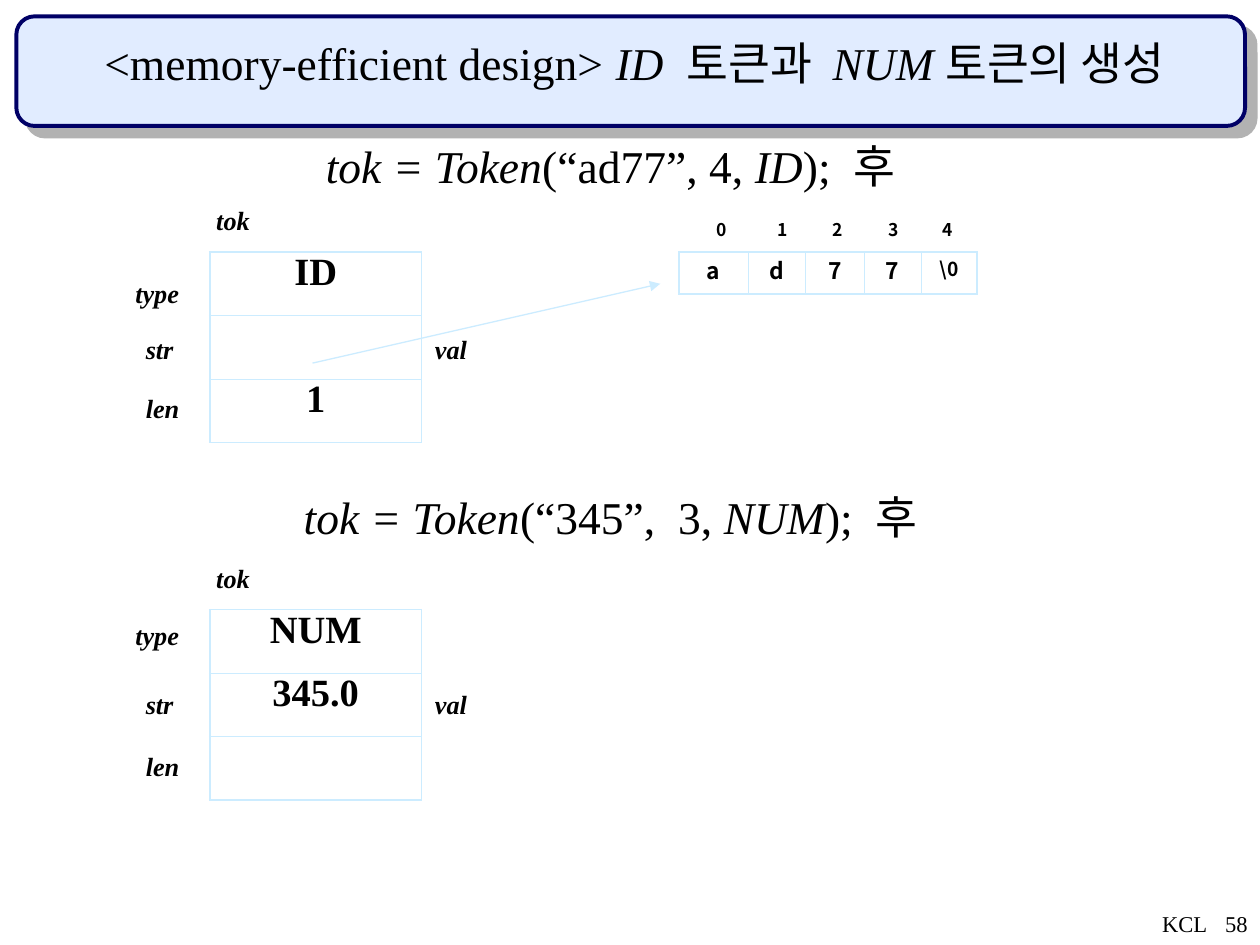
from lxml import etree
from pptx import Presentation
from pptx.dml.color import RGBColor
from pptx.enum.shapes import MSO_CONNECTOR, MSO_SHAPE
from pptx.enum.text import MSO_ANCHOR, PP_ALIGN
from pptx.oxml.ns import qn
from pptx.util import Cm, Pt

COLORS = {
    "text": "000000",
    "banner": "E1ECFF",
    "banner_line": "000066",
    "shadow": "B2B2B2",
    "grid": "CCECFF",
}
SERIF = "Times New Roman"
KOREAN = "Noto Sans CJK KR"
ROUNDED = MSO_SHAPE.ROUNDED_RECTANGLE
STRAIGHT = MSO_CONNECTOR.STRAIGHT
LEFT, CENTER, RIGHT = PP_ALIGN.LEFT, PP_ALIGN.CENTER, PP_ALIGN.RIGHT
TOP, MIDDLE = MSO_ANCHOR.TOP, MSO_ANCHOR.MIDDLE
THICK, THIN = 1.08, 0.45


def color(name):
    """Return the named colour."""
    return RGBColor.from_string(COLORS[name])


def add_element(parent, tag, **attributes):
    """Append a DrawingML element and return it."""
    return etree.SubElement(parent, qn(tag), attributes)


def style_paragraph(paragraph, size, font=SERIF, bold=False, align=LEFT, spacing=1.0):
    """Set the shared look of a paragraph."""
    paragraph.alignment = align
    paragraph.line_spacing = spacing
    paragraph.font.name = font
    paragraph.font.size = Pt(size)
    paragraph.font.bold = bold
    paragraph.font.color.rgb = color("text")


def add_text(slide, box, runs, size, anchor=TOP, **style):
    """Add a text box from (text, italic) runs."""
    shape = slide.shapes.add_textbox(*(Cm(length) for length in box))
    frame = shape.text_frame
    frame.word_wrap = True
    frame.vertical_anchor = anchor
    paragraph = frame.paragraphs[0]
    style_paragraph(paragraph, size, **style)
    for text, italic in runs:
        run = paragraph.add_run()
        run.text = text
        run.font.italic = italic
        add_element(run.font._element, "a:ea", typeface=KOREAN)


def add_heading(slide, top, runs, left=1.91, width=20.8):
    """Add a centred heading line."""
    add_text(slide, (left, top, width, 1.52), runs, 26, align=CENTER, spacing=0.9)


def add_label(slide, left, top, text):
    """Add a bold italic field label."""
    add_text(slide, (left, top, 1.8, 1.02), [(text, True)], 15, MIDDLE, bold=True)


def set_borders(cell, widths):
    """Draw the left, right, top and bottom borders; zero hides one."""
    properties = cell._tc.get_or_add_tcPr()
    for side, width in zip("LRTB", widths):
        line = add_element(properties, f"a:ln{side}", w=str(Pt(width)))
        if width:
            fill = add_element(line, "a:solidFill")
            add_element(fill, "a:srgbClr", val=COLORS["grid"])
        else:
            add_element(line, "a:noFill")


def add_grid(slide, left, top, widths, heights, rows, size, font, bordered=True):
    """Add a table with thick outer and thin inner borders."""
    frame = slide.shapes.add_table(
        len(heights), len(widths), Cm(left), Cm(top), Cm(sum(widths)), Cm(sum(heights)))
    table = frame.table
    table.first_row = table.horz_banding = False
    for column, width in zip(table.columns, widths):
        column.width = Cm(width)
    for row, height in zip(table.rows, heights):
        row.height = Cm(height)
    last_row, last_column = len(heights) - 1, len(widths) - 1
    for y, texts in enumerate(rows):
        for x, text in enumerate(texts):
            cell = table.cell(y, x)
            outer = (x == 0, x == last_column, y == 0, y == last_row)
            set_borders(cell, [(THICK if edge else THIN) if bordered else 0 for edge in outer])
            cell.fill.background()
            cell.text = text
            style_paragraph(cell.text_frame.paragraphs[0], 11 if text == "\\0" else size,
                            font, True, CENTER, 0.8)
    return table


def add_record(slide, top, values, label_tops):
    """Add a token record with its field labels."""
    add_grid(slide, 4.23, top, [4.27], [1.28] * 3, [[value] for value in values], 22, SERIF)
    add_label(slide, 4.11, top - 1.15, "tok")
    type_top, str_top, len_top = label_tops
    add_label(slide, 2.48, type_top, "type")
    add_label(slide, 2.69, str_top, "str")
    add_label(slide, 2.69, len_top, "len")
    add_label(slide, 8.52, str_top, "val")


def add_banner(slide):
    """Add the rounded title band with its hard shadow."""
    banner = slide.shapes.add_shape(ROUNDED, Cm(0.33), Cm(0.33), Cm(24.77), Cm(2.21))
    banner.shadow.inherit = False
    banner.fill.solid()
    banner.fill.fore_color.rgb = color("banner")
    banner.line.color.rgb = color("banner_line")
    banner.line.width = Pt(2.25)
    effects = banner._element.spPr.find(qn("a:effectLst"))
    shadow = add_element(effects, "a:outerShdw", blurRad="0", dist=str(Pt(8.5)),
                         dir="2700000", algn="ctr", rotWithShape="0")
    add_element(shadow, "a:srgbClr", val=COLORS["shadow"])


def add_pointer(slide, start, end):
    """Add an arrow between two points."""
    pointer = slide.shapes.add_connector(STRAIGHT, *(Cm(length) for length in start + end))
    pointer.line.color.rgb = color("grid")
    pointer.line.width = Pt(0.75)
    add_element(pointer.line._get_or_add_ln(), "a:tailEnd", type="triangle")
    add_element(pointer._element.spPr, "a:effectLst")


def main():
    """Build the token creation slide."""
    presentation = Presentation()
    presentation.slide_width, presentation.slide_height = Cm(25.4), Cm(19.05)
    slide = presentation.slides.add_slide(presentation.slide_layouts[6])
    add_banner(slide)
    add_heading(slide, 0.71, [
        ("<memory-efficient design> ", False), ("ID ", True), (" 토큰과  ", False),
        ("NUM", True), (" 토큰의 생성", False)], 1.3, 22.99)
    add_heading(slide, 2.79, [
        ("tok = Token", True), ("(“ad77”, 4, ", False), ("ID", True), (");  후", False)])
    add_heading(slide, 9.86, [
        ("tok = Token", True), ("(“345”,  3, ", False), ("NUM", True), (");  후", False)])
    add_record(slide, 5.08, ["ID", "", "1"], (5.39, 6.53, 7.72))
    add_record(slide, 12.29, ["NUM", "345.0", ""], (12.29, 13.69, 14.93))
    add_grid(slide, 13.69, 5.08, [1.39, 1.16, 1.18, 1.15, 1.13], [0.85],
             [["a", "d", "7", "7", "\\0"]], 13, KOREAN)
    add_grid(slide, 13.89, 4.32, [1.32, 1.12, 1.12, 1.12, 1.07], [0.85],
             ["01234"], 10, KOREAN, bordered=False)
    add_pointer(slide, (6.3, 7.32), (13.31, 5.72))
    add_text(slide, (20.12, 18.29, 5.28, 0.84), [("KCL\t58", False)], 12.9,
             align=RIGHT, spacing=0.9)
    presentation.save("out.pptx")


if __name__ == "__main__":
    main()
